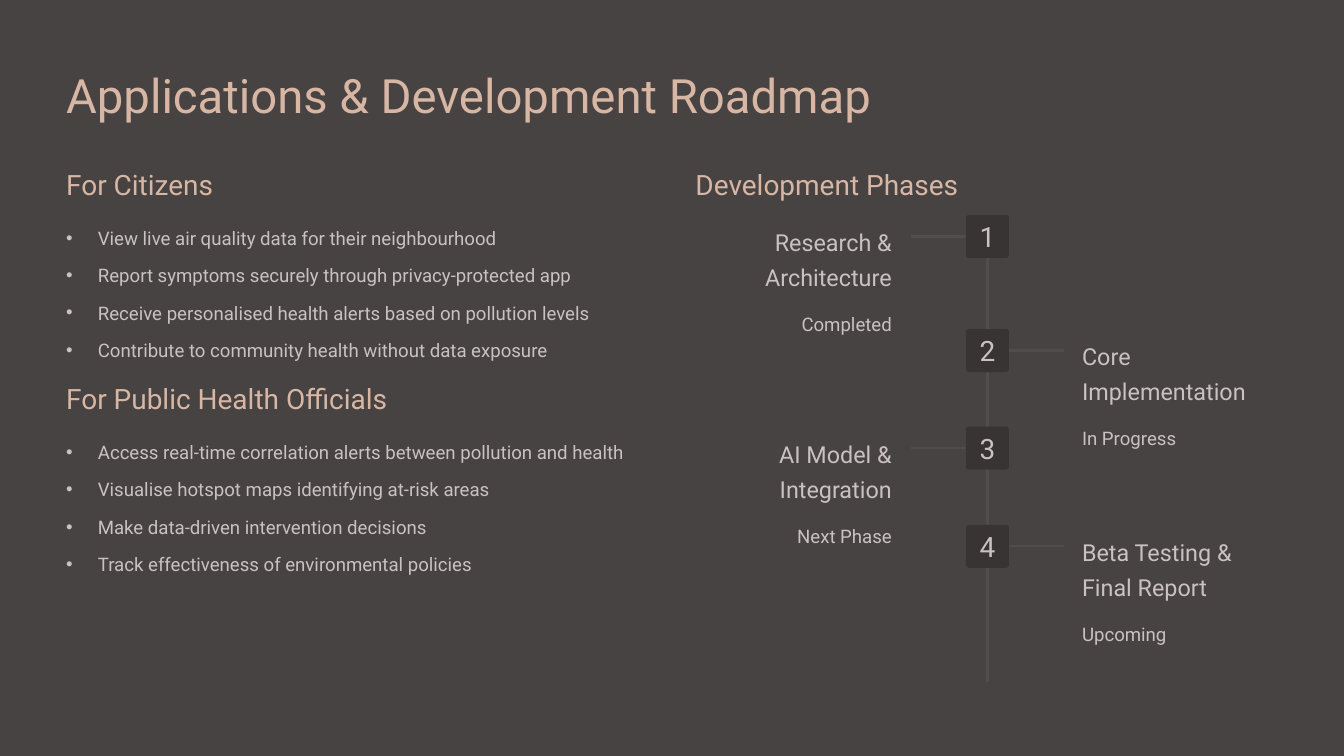
from dataclasses import dataclass

from lxml import etree
from pptx import Presentation
from pptx.dml.color import RGBColor
from pptx.enum.shapes import MSO_CONNECTOR, MSO_SHAPE
from pptx.enum.text import MSO_ANCHOR, MSO_AUTO_SIZE, PP_ALIGN
from pptx.oxml.ns import qn
from pptx.util import Cm, Pt

LEFT, CENTER, RIGHT = PP_ALIGN.LEFT, PP_ALIGN.CENTER, PP_ALIGN.RIGHT
TOP, MIDDLE = MSO_ANCHOR.TOP, MSO_ANCHOR.MIDDLE
STRAIGHT, ROUNDED = MSO_CONNECTOR.STRAIGHT, MSO_SHAPE.ROUNDED_RECTANGLE
FIXED = MSO_AUTO_SIZE.NONE

DARK = RGBColor(0x46, 0x43, 0x42)
PEACH = RGBColor(0xD8, 0xB6, 0xA4)
PALE = RGBColor(0xC9, 0xC2, 0xC0)
RULE = RGBColor(0x50, 0x4D, 0x4C)
BADGE = RGBColor(0x37, 0x34, 0x33)

FONT = "Roboto"
MARGIN = 2.0
PHASE_X = 21.03
HEAD_Y = 4.8
SPINE_X = 29.86
SPINE_TOP, SPINE_END = 6.5, 20.62
SIDE = 1.3
TICK_IN, TICK_OUT = 0.57, 2.3
LABEL_W = 5.94


@dataclass
class Group:
    head: str
    items: list[str]
    top: float


@dataclass
class Phase:
    name: str
    status: str
    top: float


GROUPS = [
    Group("For Citizens", [
        "View live air quality data for their neighbourhood",
        "Report symptoms securely through privacy-protected app",
        "Receive personalised health alerts based on pollution levels",
        "Contribute to community health without data exposure",
    ], HEAD_Y),
    Group("For Public Health Officials", [
        "Access real-time correlation alerts between pollution and health",
        "Visualise hotspot maps identifying at-risk areas",
        "Make data-driven intervention decisions",
        "Track effectiveness of environmental policies",
    ], 11.28),
]
PHASES = [
    Phase("Research & Architecture", "Completed", SPINE_TOP),
    Phase("Core Implementation", "In Progress", 9.95),
    Phase("AI Model & Integration", "Next Phase", 12.9),
    Phase("Beta Testing & Final Report", "Upcoming", 15.87),
]


def write(shape, *lines: str, size: float, color: RGBColor = PALE,
          align=LEFT, anchor=TOP, spacing: float = 1.25,
          gap: float = 0, indent: float = 0) -> None:
    """Fill a shape with paragraphs; an indent leaves room for bullets."""
    frame = shape.text_frame
    frame.word_wrap = True
    frame.auto_size = FIXED
    frame.vertical_anchor = anchor
    frame.margin_left = frame.margin_right = 0
    frame.margin_top = frame.margin_bottom = 0
    for i, line in enumerate(lines):
        para = frame.add_paragraph() if i else frame.paragraphs[0]
        para.text = line
        para.alignment = align
        para.line_spacing = spacing
        para.space_before = Pt(gap if i else 0)
        para.space_after = Pt(0)
        if indent:
            props = para._p.get_or_add_pPr()
            props.set("marL", str(Cm(indent)))
            props.set("indent", str(-Cm(indent)))
        font = para.font
        font.name, font.size, font.bold = FONT, Pt(size), False
        font.color.rgb = color


def place(shape, x: float, y: float, w: float, h: float) -> None:
    shape.left, shape.top = Cm(x), Cm(y)
    shape.width, shape.height = Cm(w), Cm(h)


def add_box(slide, x: float, y: float, w: float, h: float):
    return slide.shapes.add_textbox(Cm(x), Cm(y), Cm(w), Cm(h))


def add_rule(slide, x1: float, y1: float, x2: float, y2: float) -> None:
    rule = slide.shapes.add_connector(STRAIGHT, Cm(x1), Cm(y1), Cm(x2), Cm(y2))
    rule.line.color.rgb = RULE
    rule.line.width = Pt(1.8)
    etree.SubElement(rule._element.spPr, qn("a:effectLst"))


def add_group(head, body, group: Group) -> None:
    place(head, MARGIN, group.top, 10.06, 1.07)
    write(head, group.head, size=24, color=PEACH)
    place(body, MARGIN, group.top + 1.65, 17.63, 4.24)
    write(body, *group.items, size=16, spacing=1.59, gap=1.6, indent=0.96)


def add_phase(slide, num: int, phase: Phase) -> None:
    """Draw a numbered badge with its label, odd numbers to the left."""
    odd = num % 2 == 1
    sign, align = (-1, RIGHT) if odd else (1, LEFT)
    x = PHASE_X if odd else 32.72
    mid = phase.top + SIDE / 2
    add_rule(slide, SPINE_X + sign * TICK_IN, mid, SPINE_X + sign * TICK_OUT, mid)

    badge = slide.shapes.add_shape(
        ROUNDED, Cm(SPINE_X - SIDE / 2), Cm(phase.top), Cm(SIDE), Cm(SIDE))
    badge.adjustments[0] = 0.07
    badge.shadow.inherit = False
    badge.fill.solid()
    badge.fill.fore_color.rgb = BADGE
    badge.line.fill.background()
    write(badge, str(num), size=24, align=CENTER, anchor=MIDDLE, spacing=1.0)

    name = add_box(slide, x, phase.top + 0.19, LABEL_W, 1.78)
    write(name, phase.name, size=20, align=align)
    status = add_box(slide, x, phase.top + 2.56, LABEL_W, 0.91)
    write(status, phase.status, size=16, align=align, spacing=1.59)


def main() -> None:
    deck = Presentation()
    deck.slide_width, deck.slide_height = Cm(40.64), Cm(22.86)
    slide = deck.slides.add_slide(deck.slide_layouts.get_by_name("Comparison"))
    slide.background.fill.solid()
    slide.background.fill.fore_color.rgb = DARK

    title, *slots = slide.placeholders
    place(title, MARGIN, 1.57, 24.56, 1.78)
    write(title, "Applications & Development Roadmap", size=40.5, color=PEACH)
    for head, body, group in zip(slots[::2], slots[1::2], GROUPS):
        add_group(head, body, group)

    head = add_box(slide, PHASE_X, HEAD_Y, 8.59, 1.07)
    write(head, "Development Phases", size=24, color=PEACH)
    add_rule(slide, SPINE_X, SPINE_TOP, SPINE_X, SPINE_END)
    for num, phase in enumerate(PHASES, 1):
        add_phase(slide, num, phase)
    deck.save("out.pptx")


if __name__ == "__main__":
    main()
